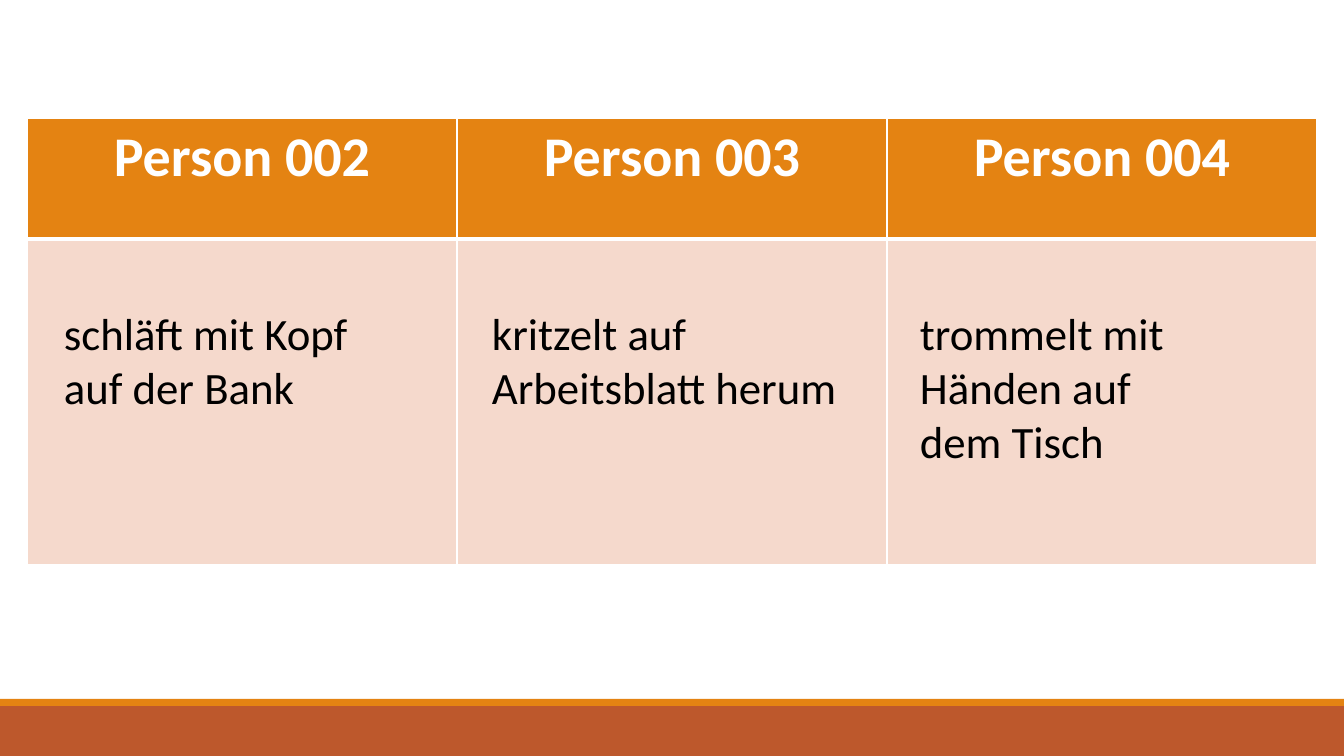
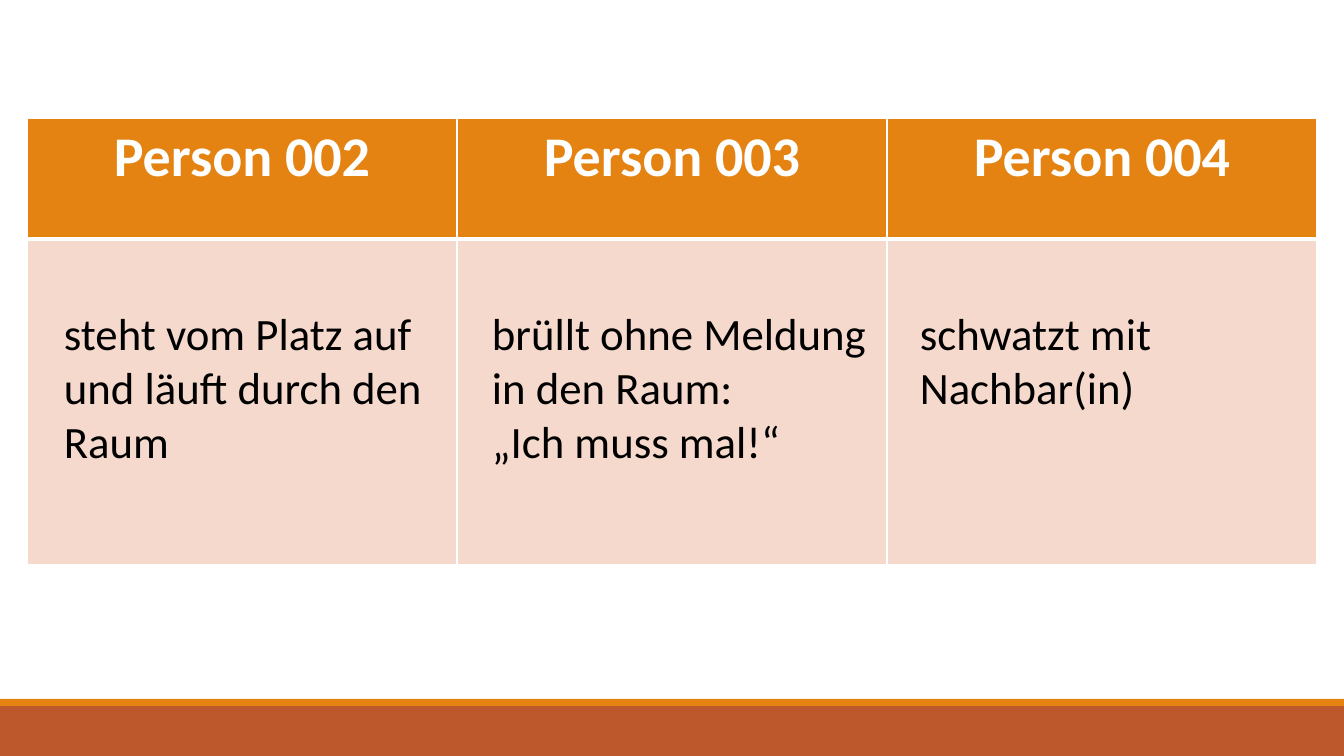
from lxml import etree
from pptx import Presentation
from pptx import util as u
from pptx.dml.color import RGBColor
from pptx.enum import shapes, text
from pptx.oxml.ns import qn

# Content: one list per slide, each entry is paragraphs, box width, box height
HEADINGS = ["Person 002", "Person 003", "Person 004"]
SLIDES = [
    [
        (["schläft mit Kopf auf der Bank"], 370, 119),
        (["kritzelt auf Arbeitsblatt herum"], 370, 119),
        (["trommelt mit Händen auf dem Tisch"], 280, 204),
    ],
    [
        (["steht vom Platz auf und läuft durch den Raum"], 400, 173),
        (["brüllt ohne Meldung in den Raum:", "„Ich muss mal!“"], 400, 173),
        (["schwatzt mit Nachbar(in)"], 280, 149),
    ],
]

# Shared style
COLORS = {"rust": "BD582C", "orange": "E48312", "blush": "F5D9CC",
          "white": "FFFFFF", "black": "000000"}
FONT = "Calibri"
WIDTH, HEIGHT = 1344, 756
BANDS = [("rust", 706, 50), ("orange", 699, 7)]
TABLE_LEFT, TABLE_TOP, COLUMN_WIDTH = 27, 118, 430
ROW_HEIGHTS = [121, 326]
NOTE_LEFT, NOTE_TOP, NOTE_STEP = 54, 301, 428


def px(length):
    return u.Emu(round(length * 914400 / 100.8))


def color(name):
    return RGBColor.from_string(COLORS[name])


def write(frame, paragraphs, size, ink, bold=False, align=text.PP_ALIGN.LEFT):
    for index, words in enumerate(paragraphs):
        para = frame.paragraphs[0] if index == 0 else frame.add_paragraph()
        para.alignment = align
        span = para.add_run()
        span.text = words
        span.font.name = FONT
        span.font.size = u.Pt(size)
        span.font.bold = bold
        span.font.color.rgb = color(ink)


def paint_cell(cell, fill, bottom_width):
    # Borders come before the fill in the cell properties
    properties = cell._tc.get_or_add_tcPr()
    for side, width in (("L", 1), ("R", 1), ("T", 1), ("B", bottom_width)):
        line = etree.SubElement(properties, qn("a:ln" + side), w=str(u.Pt(width)))
        paint = etree.SubElement(line, qn("a:solidFill"))
        etree.SubElement(paint, qn("a:srgbClr"), val=COLORS["white"])
    cell.fill.solid()
    cell.fill.fore_color.rgb = color(fill)


def add_bands(page):
    for name, top, height in BANDS:
        band = page.shapes.add_shape(shapes.MSO_SHAPE.RECTANGLE,
                                     0, px(top), px(WIDTH), px(height))
        band.shadow.inherit = False
        band.fill.solid()
        band.fill.fore_color.rgb = color(name)
        band.line.fill.background()


def add_person_table(page):
    count = len(HEADINGS)
    table = page.shapes.add_table(
        len(ROW_HEIGHTS), count, px(TABLE_LEFT), px(TABLE_TOP),
        px(COLUMN_WIDTH * count), px(sum(ROW_HEIGHTS))).table
    table.horz_banding = False
    for row, height in zip(table.rows, ROW_HEIGHTS):
        row.height = px(height)
    for index, heading in enumerate(HEADINGS):
        table.columns[index].width = px(COLUMN_WIDTH)
        header, body = table.cell(0, index), table.cell(1, index)
        paint_cell(header, "orange", 3)
        paint_cell(body, "blush", 1)
        write(header.text_frame, [heading], 40, "white", bold=True,
              align=text.PP_ALIGN.CENTER)


def add_notes(page, notes):
    for index, (paragraphs, width, height) in enumerate(notes):
        box = page.shapes.add_textbox(px(NOTE_LEFT + index * NOTE_STEP),
                                      px(NOTE_TOP), px(width), px(height))
        frame = box.text_frame
        frame.word_wrap = True
        frame.auto_size = text.MSO_AUTO_SIZE.SHAPE_TO_FIT_TEXT
        write(frame, paragraphs, 32, "black")


def main():
    deck = Presentation()
    deck.slide_width, deck.slide_height = px(WIDTH), px(HEIGHT)
    for behaviours in SLIDES:
        page = deck.slides.add_slide(deck.slide_layouts[6])
        add_bands(page)
        add_person_table(page)
        add_notes(page, behaviours)
    deck.save("out.pptx")


if __name__ == "__main__":
    main()
